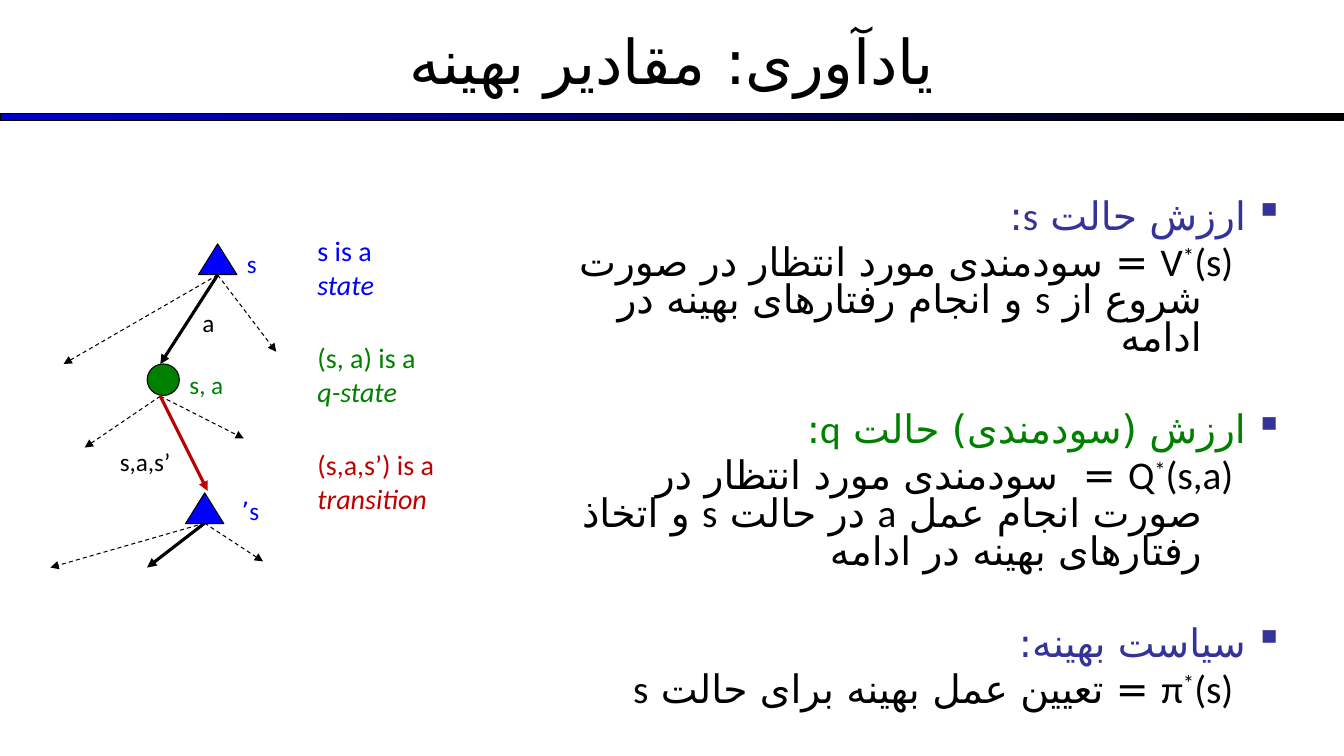
from dataclasses import dataclass

from lxml import etree
from pptx import Presentation, util as u
from pptx.dml.color import RGBColor
from pptx.enum import dml, shapes, text
from pptx.oxml import ns

Pt = u.Pt
FONT = "Calibri"
PERSIAN_FONT = "DejaVu Sans"
BULLET_FONT = "OpenSymbol"
BLACK = RGBColor(0x00, 0x00, 0x00)
BLUE = RGBColor(0x00, 0x00, 0xFF)
BAR_BLUE = RGBColor(0x00, 0x00, 0xCC)
INDIGO = RGBColor(0x33, 0x33, 0x99)
GREEN = RGBColor(0x00, 0x80, 0x00)
RED = RGBColor(0xC0, 0x00, 0x00)
SHAPE = shapes.MSO_SHAPE


@dataclass
class Node:
    kind: int
    left: float
    top: float
    width: float
    height: float
    color: RGBColor


@dataclass
class Arrow:
    x: float
    y: float
    color: RGBColor | None = None  # a colour marks the chosen, solid branch


@dataclass
class Label:
    words: str
    left: float
    top: float
    width: float
    color: RGBColor
    size: float = 18
    rtl: bool = False


@dataclass
class Definition:
    heading: str
    color: RGBColor
    symbol: str
    meaning: str


NODES = [
    Node(SHAPE.ISOSCELES_TRIANGLE, 141.8, 174.2, 27.4, 22, BLUE),
    Node(SHAPE.ISOSCELES_TRIANGLE, 132.5, 352.1, 27.4, 22, BLUE),
    Node(SHAPE.OVAL, 105.1, 260, 23, 22.5, GREEN),
]
BRANCHES = {
    (155.5, 196.4): [Arrow(45.4, 260), Arrow(114.5, 260, BLACK), Arrow(197.3, 251.3)],
    (114.5, 283): [Arrow(60.5, 319.7), Arrow(174.2, 313.2), Arrow(148.3, 350.6, RED)],
    (146.2, 373.7): [Arrow(36, 405.4), Arrow(105.1, 405.4, BLACK), Arrow(187.9, 401)],
}
LABELS = [
    Label("a", 137.5, 216, 23, BLACK),
    Label("s", 169.2, 174.2, 23, BLUE),
    Label("s’", 162, 350.6, 30.2, BLUE, rtl=True),
    Label("s, a", 128.2, 260, 46, GREEN),
    Label("s,a,s’", 78.5, 315.4, 64.8, BLACK),
    Label("s is a\vstate", 219.6, 163.4, 82.8, BLUE, 20),
    Label("(s, a) is a\vq-state", 219.6, 239.8, 102.2, GREEN, 20),
    Label("(s,a,s’) is a\vtransition", 219.6, 316.1, 170.6, RED, 20),
]
DEFINITIONS = [
    Definition("ارزش حالت s:", INDIGO, "V",
               "(s) = سودمندی مورد انتظار در صورت شروع از s و انجام رفتارهای بهینه در ادامه"),
    Definition("ارزش (سودمندی) حالت q:", GREEN, "Q",
               "(s,a) =  سودمندی مورد انتظار در صورت انجام عمل a در حالت s و اتخاذ رفتارهای بهینه در ادامه"),
    Definition("سیاست بهینه:", INDIGO, "π", "(s) = تعیین عمل بهینه برای حالت s"),
]


def add_xml(parent, tag: str, **attrs: str):
    return etree.SubElement(parent, ns.qn(tag), attrs)


def format_runs(p, size: float, color: RGBColor) -> None:
    for r in p.runs:
        r.font.size, r.font.name = Pt(size), FONT
        r.font.color.rgb = color
        add_xml(r._r.get_or_add_rPr(), "a:cs", typeface=PERSIAN_FONT)


def set_rtl(p) -> None:
    p.alignment = text.PP_ALIGN.RIGHT
    p._p.get_or_add_pPr().set("rtl", "1")


def outline(sp) -> None:
    sp.shadow.inherit = False
    sp.line.color.rgb = BLACK
    sp.line.width = Pt(0.75)


def add_node(s, node: Node) -> None:
    sp = s.shapes.add_shape(node.kind, Pt(node.left), Pt(node.top), Pt(node.width), Pt(node.height))
    sp.fill.solid()
    sp.fill.fore_color.rgb = node.color
    outline(sp)


def add_arrow(s, start: tuple[float, float], arrow: Arrow) -> None:
    line = s.shapes.add_connector(shapes.MSO_CONNECTOR.STRAIGHT,
                                  *map(Pt, start), Pt(arrow.x), Pt(arrow.y))
    line.line.color.rgb = arrow.color or BLACK
    line.line.width = Pt(2.25 if arrow.color else 0.75)
    if not arrow.color:
        line.line.dash_style = dml.MSO_LINE.DASH
    add_xml(line.line._get_or_add_ln(), "a:tailEnd", type="triangle")
    add_xml(line._element.spPr, "a:effectLst")


def add_label(s, label: Label) -> None:
    height = 28.8 if label.size == 18 else 55.4
    tf = s.shapes.add_textbox(Pt(label.left), Pt(label.top), Pt(label.width), Pt(height)).text_frame
    tf.word_wrap = True
    p = tf.paragraphs[0]
    p.text = label.words
    format_runs(p, label.size, label.color)
    for r in p.runs[1:]:
        r.font.italic = True
    if label.rtl:
        set_rtl(p)


def format_paragraph(p, color: RGBColor, before: float, margin: float, hang: float) -> None:
    set_rtl(p)
    p.line_spacing = 0.8
    p.space_before = Pt(before)
    pPr = p._p.get_or_add_pPr()
    pPr.set("marL", str(Pt(margin)))
    pPr.set("indent", str(-Pt(hang)))
    format_runs(p, 28, color)


def add_definition(tf, item: Definition, first: bool) -> None:
    p = tf.paragraphs[0] if first else tf.add_paragraph()
    p.text = item.heading
    format_paragraph(p, item.color, 6 if first else 39, 27, 27)
    pPr = p._p.get_or_add_pPr()
    add_xml(add_xml(pPr, "a:buClr"), "a:srgbClr", val=str(INDIGO))
    add_xml(pPr, "a:buFont", typeface=BULLET_FONT)
    add_xml(pPr, "a:buChar", char="▪")

    p = tf.add_paragraph()
    p.text = item.symbol
    p.level = 1
    star, meaning = p.add_run(), p.add_run()
    star.text, meaning.text = "*", item.meaning
    star._r.get_or_add_rPr().set("baseline", "30000")
    format_paragraph(p, BLACK, 6, 58.5, 22.5)


def main() -> None:
    prs = Presentation()
    prs.slide_width, prs.slide_height = Pt(960), Pt(540)
    s = prs.slides.add_slide(prs.slide_layouts[5])

    # Title and gradient rule
    bar = s.shapes.add_shape(SHAPE.RECTANGLE, 0, Pt(81), Pt(960), Pt(5))
    bar.fill.gradient()
    bar.fill.gradient_angle = 0
    for stop, position, color in zip(bar.fill.gradient_stops, (0, 1), (BAR_BLUE, BLACK)):
        stop.position, stop.color.rgb = position, color
    outline(bar)
    title = s.shapes.title
    title.left, title.top, title.width, title.height = 0, Pt(-2), Pt(960), Pt(90)
    tf = title.text_frame
    tf.text = "یادآوری: مقادیر بهینه"
    tf.auto_size = text.MSO_AUTO_SIZE.NONE
    tf.vertical_anchor = text.MSO_ANCHOR.MIDDLE
    tf.paragraphs[0].alignment = text.PP_ALIGN.CENTER
    format_runs(tf.paragraphs[0], 44, BLACK)

    # Definitions
    tf = s.shapes.add_textbox(Pt(396), Pt(102), Pt(528), Pt(390)).text_frame
    tf.word_wrap = True
    tf.margin_top = Pt(41)
    for i, item in enumerate(DEFINITIONS):
        add_definition(tf, item, first=i == 0)

    # Search tree
    for node in NODES:
        add_node(s, node)
    for start, arrows in BRANCHES.items():
        for arrow in arrows:
            add_arrow(s, start, arrow)
    for label in LABELS:
        add_label(s, label)

    prs.save("out.pptx")


if __name__ == "__main__":
    main()
